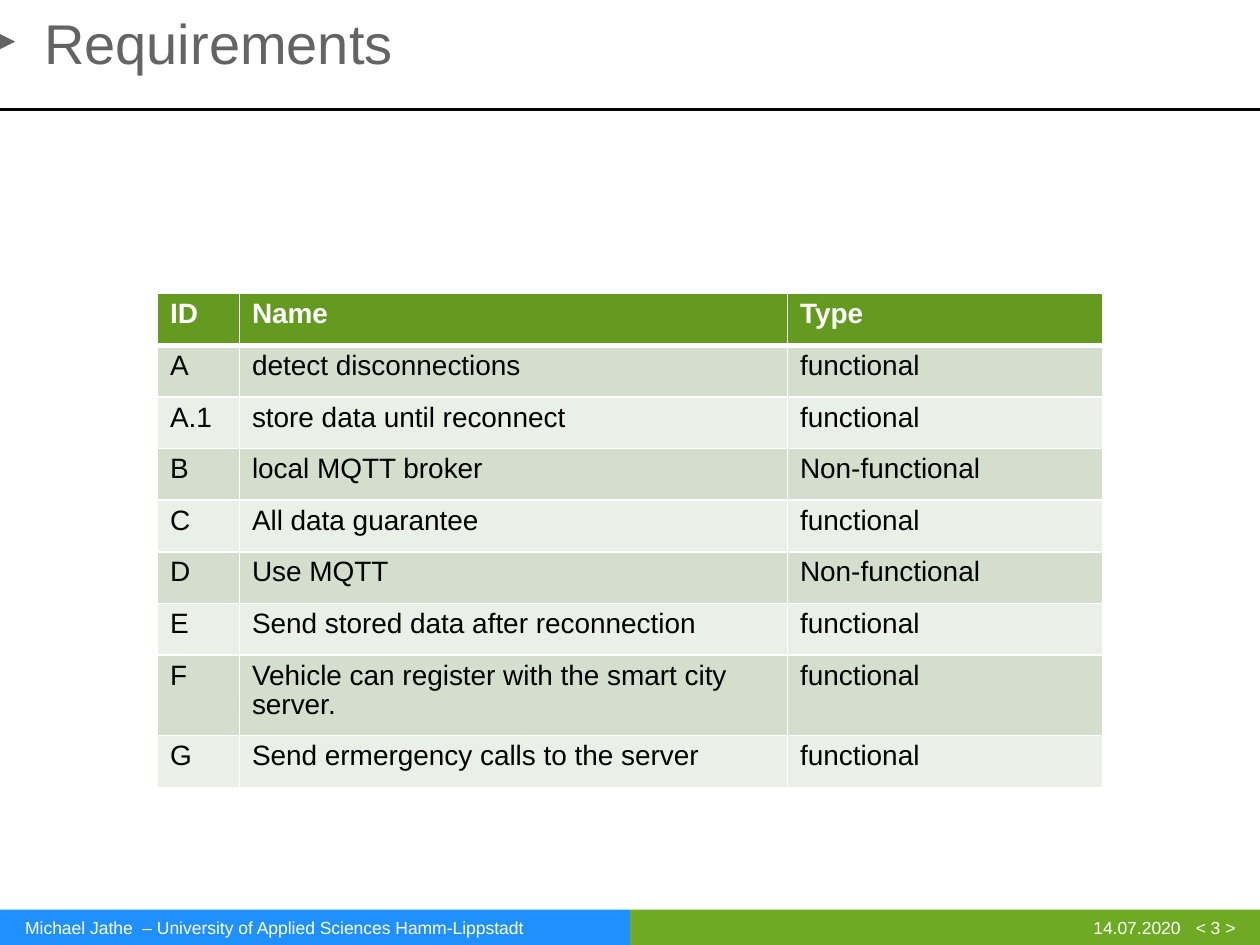
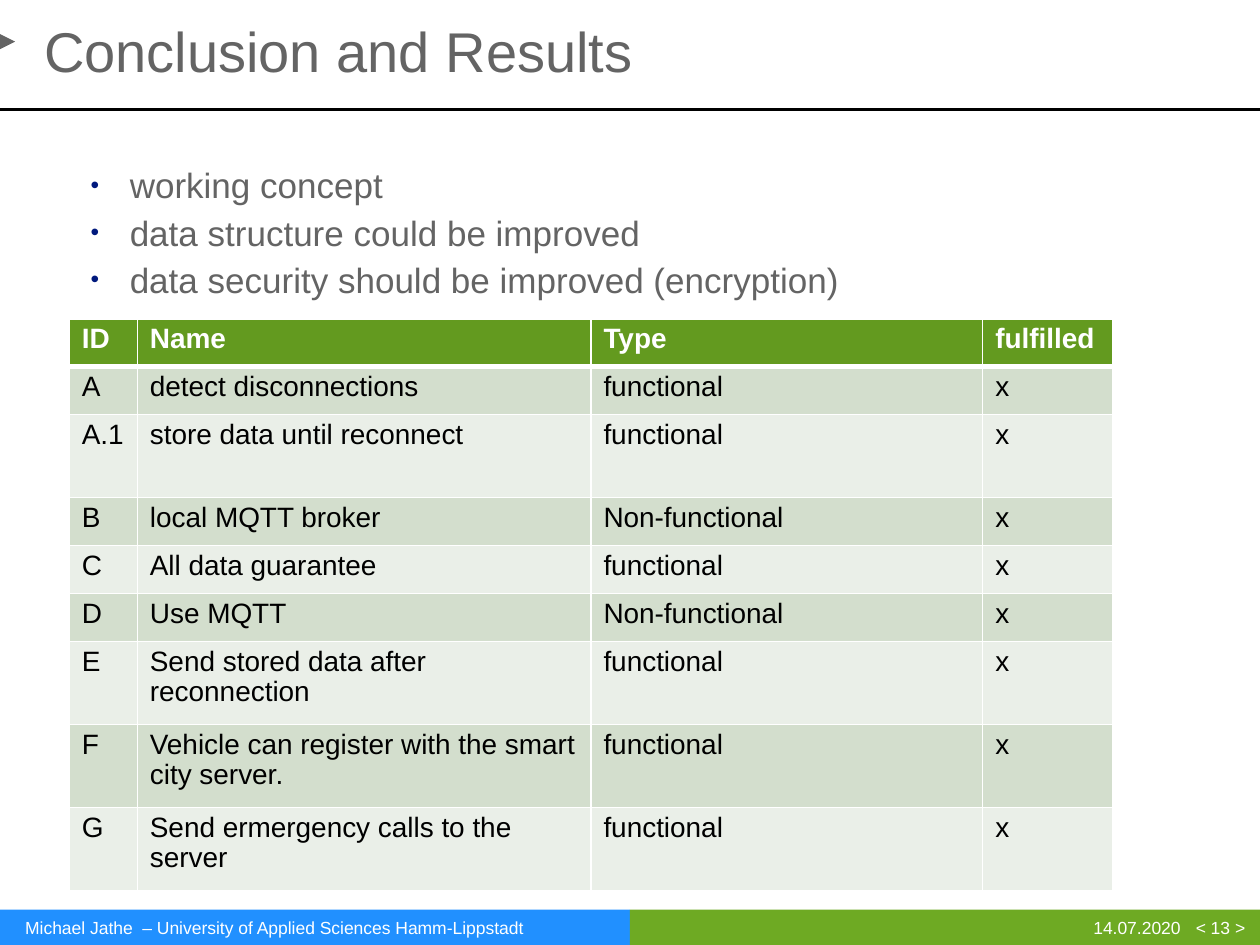
from dataclasses import dataclass

from lxml import etree
from pptx import Presentation
from pptx.dml.color import RGBColor
from pptx.enum import shapes, text
from pptx.oxml.ns import qn
from pptx.util import Inches, Pt


@dataclass(frozen=True)
class Theme:
    font: str = "Arial"
    title_size: int = 32
    body_size: int = 20
    table_size: int = 16
    footer_size: int = 10
    table_leading: int = 17
    gap: int = 3
    grey: str = "646464"
    white: str = "FFFFFF"
    black: str = "000000"
    blue: str = "2190FF"
    green: str = "6EAA23"
    bullet: str = "00197D"
    header: str = "639A1F"
    stripes: tuple = ("D3DECD", "EAEFE8")


THEME = Theme()
WIDTH, HEIGHT = 10, 7.5
BAND_HEIGHT = 0.28
AUTHOR = "Michael Jathe  – University of Applied Sciences Hamm-Lippstadt"
DATE = "14.07.2020"

HEADINGS = ["ID", "Name", "Type"]
REQUIREMENTS = [
    ["A", "detect disconnections", "functional"],
    ["A.1", "store data until reconnect", "functional"],
    ["B", "local MQTT broker", "Non-functional"],
    ["C", "All data guarantee", "functional"],
    ["D", "Use MQTT", "Non-functional"],
    ["E", "Send stored data after reconnection", "functional"],
    ["F", "Vehicle can register with the smart city server.", "functional"],
    ["G", "Send ermergency calls to the server", "functional"],
]


def rgb(colour):
    return RGBColor.from_string(colour)


def write(paragraph, words, *, size, colour, bold=False, align=None,
          leading=None, after=0):
    run = paragraph.add_run()
    run.text = words
    run.font.name = THEME.font
    run.font.size = Pt(size)
    run.font.bold = bold
    run.font.color.rgb = rgb(colour)
    paragraph.alignment = align
    paragraph.space_before = Pt(0)
    paragraph.space_after = Pt(after)
    if leading:
        paragraph.line_spacing = Pt(leading)


def place(shape, box):
    shape.left, shape.top, shape.width, shape.height = map(Inches, box)


def clear_frame(frame, wrap=True):
    """Remove insets and autofit so that text starts at the box's top left."""
    frame.margin_left = frame.margin_right = 0
    frame.margin_top = frame.margin_bottom = 0
    frame.vertical_anchor = text.MSO_ANCHOR.TOP
    frame.auto_size = text.MSO_AUTO_SIZE.NONE
    frame.word_wrap = wrap


def add_block(slide, preset, box, colour):
    block = slide.shapes.add_shape(preset, *map(Inches, box))
    block.shadow.inherit = False
    block.fill.solid()
    block.fill.fore_color.rgb = rgb(colour)
    block.line.fill.background()
    return block


def add_header(slide, title, height, leading=None):
    marker = add_block(slide, shapes.MSO_SHAPE.PENTAGON, (0, 0.27, 0.12, 0.12), THEME.grey)
    marker.adjustments[0] = 1
    rule = slide.shapes.add_connector(
        shapes.MSO_CONNECTOR.STRAIGHT, 0, Inches(0.87), Inches(WIDTH), Inches(0.87))
    rule.line.color.rgb = rgb(THEME.black)
    rule.line.width = Pt(1.5)
    etree.SubElement(rule._element.spPr, qn("a:effectLst"))

    heading = slide.shapes.title
    place(heading, (0.35, 0.13, 5.73, height))
    clear_frame(heading.text_frame)
    write(heading.text_frame.paragraphs[0], title, size=THEME.title_size,
          colour=THEME.grey, align=text.PP_ALIGN.LEFT, leading=leading, after=THEME.gap)


def add_footer(slide, page):
    half, top = WIDTH / 2, HEIGHT - BAND_HEIGHT
    for column, colour in enumerate((THEME.blue, THEME.green)):
        add_block(slide, shapes.MSO_SHAPE.RECTANGLE,
                  (column * half, top, half, BAND_HEIGHT), colour)
    for words, left, width, align in (
            (DATE, 8.54, 0.83, text.PP_ALIGN.RIGHT),
            (AUTHOR, 0.2, 4.8, text.PP_ALIGN.LEFT),
            (f"< {page} >", 9.49, 0.51, text.PP_ALIGN.LEFT)):
        note = slide.shapes.add_textbox(
            *map(Inches, (left, top + 0.06, width, 0.16)))
        clear_frame(note.text_frame, wrap=False)
        write(note.text_frame.paragraphs[0], words, size=THEME.footer_size,
              colour=THEME.white, align=align)


def set_bullet(paragraph):
    properties = paragraph._p.get_or_add_pPr()
    properties.set("marL", str(Inches(0.32)))
    properties.set("indent", str(Inches(-0.31)))
    colour = etree.SubElement(properties, qn("a:buClr"))
    etree.SubElement(colour, qn("a:srgbClr"), val=THEME.bullet)
    etree.SubElement(properties, qn("a:buSzPct"), val="70000")
    etree.SubElement(properties, qn("a:buFont"), typeface=THEME.font)
    etree.SubElement(properties, qn("a:buChar"), char="•")


def add_findings(slide, box, findings):
    body = slide.placeholders[1]
    place(body, box)
    frame = body.text_frame
    clear_frame(frame)
    for index, finding in enumerate(findings):
        paragraph = frame.add_paragraph() if index else frame.paragraphs[0]
        write(paragraph, finding, size=THEME.body_size, colour=THEME.grey,
              after=THEME.gap)
        set_bullet(paragraph)


def set_borders(cell, top, bottom):
    properties = cell._tc.get_or_add_tcPr()
    for side, points in (("L", 1), ("R", 1), ("T", top), ("B", bottom)):
        border = etree.SubElement(properties, qn(f"a:ln{side}"), w=str(Pt(points)))
        fill = etree.SubElement(border, qn("a:solidFill"))
        etree.SubElement(fill, qn("a:srgbClr"), val=THEME.white)


def add_requirements(slide, left, top, widths, heights, rows):
    """Draw a table whose first row is the heading and whose others alternate."""
    table = slide.shapes.add_table(
        len(rows), len(widths),
        *map(Inches, (left, top, sum(widths), sum(heights)))).table
    for column, width in zip(table.columns, widths):
        column.width = Inches(width)
    for index, (entries, height) in enumerate(zip(rows, heights)):
        table.rows[index].height = Inches(height)
        is_heading = index == 0
        fill = THEME.header if is_heading else THEME.stripes[(index - 1) % 2]
        for column, entry in enumerate(entries):
            cell = table.cell(index, column)
            set_borders(cell, top=3 if index == 1 else 1, bottom=3 if is_heading else 1)
            cell.fill.solid()
            cell.fill.fore_color.rgb = rgb(fill)
            write(cell.text_frame.paragraphs[0], entry, size=THEME.table_size,
                  colour=THEME.white if is_heading else THEME.black,
                  bold=is_heading, leading=THEME.table_leading, after=THEME.gap)


def build_requirements(deck):
    slide = deck.slides.add_slide(deck.slide_layouts.get_by_name("Title Only"))
    add_header(slide, "Requirements", 0.48, leading=33.8)
    add_footer(slide, 3)
    rows = [HEADINGS, *REQUIREMENTS]
    heights = [0.64 if row[0] == "F" else 0.41 for row in rows]
    add_requirements(slide, 1.25, 2.33, [0.65, 4.35, 2.5], heights, rows)


def build_conclusion(deck):
    slide = deck.slides.add_slide(deck.slide_layouts.get_by_name("Title and Content"))
    add_header(slide, "Conclusion and Results", 0.54)
    add_footer(slide, 13)
    add_findings(slide, (0.71, 1.3, 9.1, 1.09), [
        "working concept",
        "data structure could be improved",
        "data security should be improved (encryption)",
    ])
    rows = [HEADINGS + ["fulfilled"], *(row + ["x"] for row in REQUIREMENTS)]
    tall = {"A.1", "E", "F", "G"}
    heights = [0.66 if row[0] in tall else 0.38 for row in rows]
    add_requirements(slide, 0.55, 2.53, [0.54, 3.6, 3.11, 1.03], heights, rows)


def main():
    deck = Presentation()
    deck.slide_width, deck.slide_height = Inches(WIDTH), Inches(HEIGHT)
    build_requirements(deck)
    build_conclusion(deck)
    deck.save("out.pptx")


if __name__ == "__main__":
    main()
